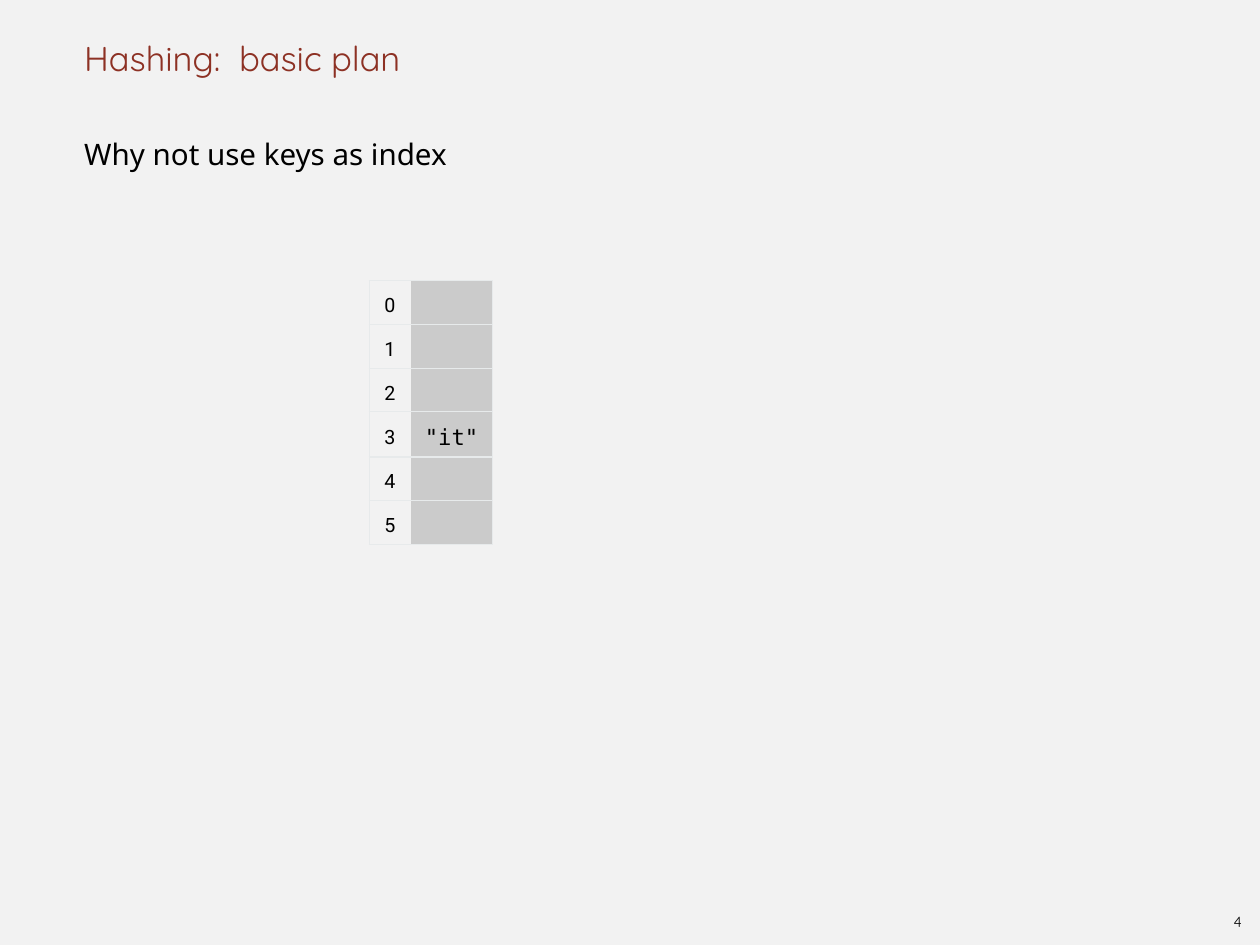
from lxml.etree import SubElement
from pptx import Presentation
from pptx.dml.color import RGBColor
from pptx.enum.text import MSO_ANCHOR, PP_ALIGN
from pptx.oxml.ns import qn
from pptx.util import Inches, Pt

PAPER = RGBColor(0xF2, 0xF2, 0xF2)
BLACK = RGBColor(0, 0, 0)
RUST = RGBColor(0x8D, 0x31, 0x24)
GRAY = RGBColor(0xCB, 0xCB, 0xCB)
RULE = RGBColor(0xE7, 0xEA, 0xEB)
PAD = 0.06


def write(frame, text, font, size, color=BLACK, align=PP_ALIGN.LEFT, lead=None):
    para = frame.paragraphs[0]
    para.alignment = align
    if lead:
        para.line_spacing = lead
    run = para.add_run()
    run.text = text
    run.font.name = font
    run.font.size = Pt(size)
    run.font.color.rgb = color


def label(slide, box, text, font, size, pad=0, wrap=True,
          anchor=MSO_ANCHOR.TOP, **style):
    frame = slide.shapes.add_textbox(*map(Inches, box)).text_frame
    frame.word_wrap = wrap
    frame.vertical_anchor = anchor
    frame.margin_left = frame.margin_right = Inches(PAD)
    frame.margin_top = frame.margin_bottom = Inches(pad)
    write(frame, text, font, size, **style)


def border(cell, sides):
    props = cell._tc.get_or_add_tcPr()
    for side in "LRTB":
        line = SubElement(props, qn("a:ln" + side), w=str(Pt(1)))
        if side in sides:
            fill = SubElement(line, qn("a:solidFill"))
            SubElement(fill, qn("a:srgbClr"), val=str(RULE))
        else:
            SubElement(line, qn("a:noFill"))


def array(slide, box, slots):
    left, top, width, height = box
    table = slide.shapes.add_table(len(slots), 2, *map(Inches, box)).table
    table.first_row = table.horz_banding = False
    table.columns[0].width = Inches(width / 3)
    table.columns[1].width = Inches(width * 2 / 3)
    for i, slot in enumerate(slots):
        table.rows[i].height = Inches(height / len(slots))
        index, value = table.cell(i, 0), table.cell(i, 1)
        border(index, "LTB")
        border(value, "RTB")
        index.fill.background()
        value.fill.solid()
        value.fill.fore_color.rgb = GRAY
        for cell in (index, value):
            cell.vertical_anchor = MSO_ANCHOR.MIDDLE
            cell.margin_left = cell.margin_right = Inches(PAD)
            cell.margin_top = cell.margin_bottom = Inches(PAD)
        style = dict(align=PP_ALIGN.CENTER, lead=1.3)
        write(index.text_frame, str(i), "Roboto", 16, **style)
        if slot:
            write(value.text_frame, slot, "DejaVu Sans Mono", 18, **style)


def main():
    deck = Presentation()
    deck.slide_width, deck.slide_height = Inches(14.22), Inches(10.67)
    slide = deck.slides.add_slide(deck.slide_layouts[6])
    slide.background.fill.solid()
    slide.background.fill.fore_color.rgb = PAPER
    label(slide, (13.8, 10.25, 0.34, 0.32), "4", "Quicksand", 12, pad=PAD,
          wrap=False, anchor=MSO_ANCHOR.MIDDLE, align=PP_ALIGN.CENTER)
    label(slide, (0.89, 0, 12.44, 0.89), "Hashing:  basic plan", "Quicksand", 28,
          anchor=MSO_ANCHOR.BOTTOM, color=RUST)
    label(slide, (0.89, 1.39, 12.44, 8.89), "Why not use keys as index",
          "Noto Sans", 24, lead=Pt(39))
    array(slide, (4.17, 3.17, 1.39, 2.96), ["", "", "", '"it"', "", ""])
    deck.save("out.pptx")


if __name__ == "__main__":
    main()
